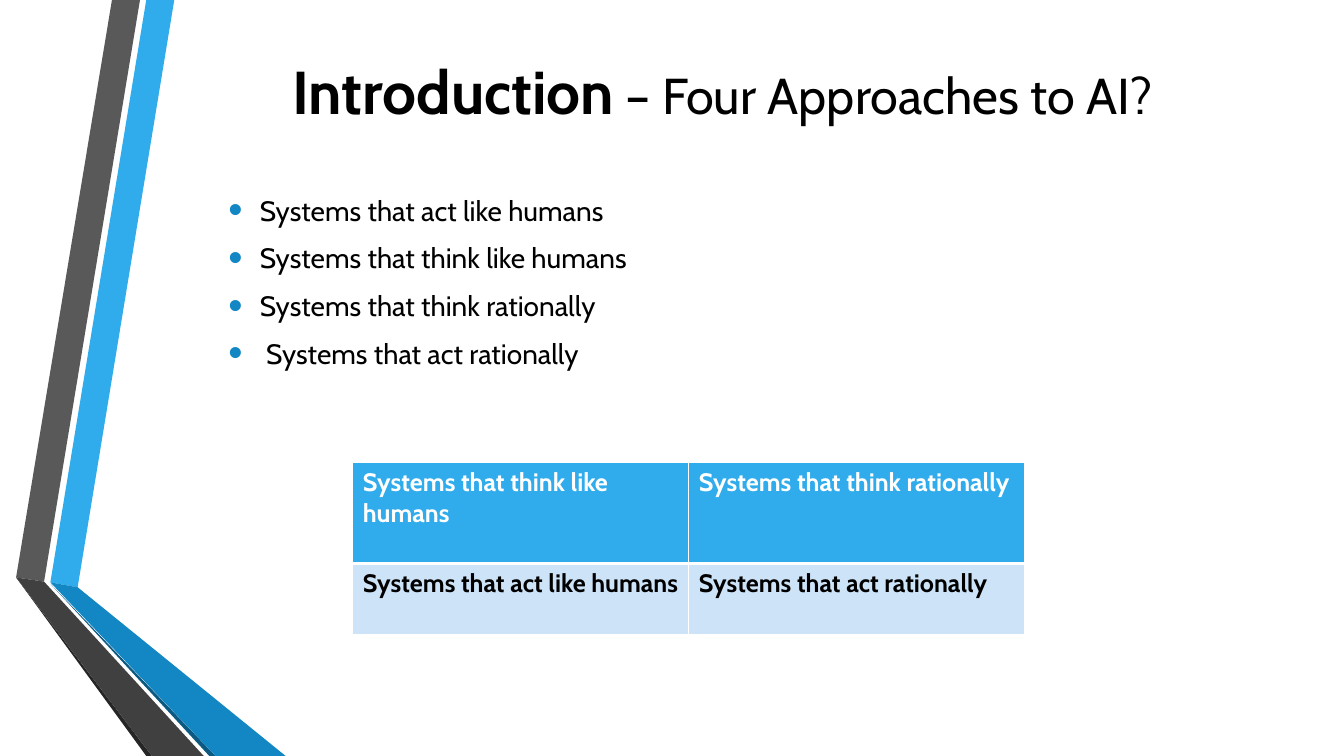
from lxml.etree import SubElement
from pptx import Presentation
from pptx.dml.color import RGBColor
from pptx.enum.text import MSO_ANCHOR, PP_ALIGN
from pptx.oxml import parse_xml
from pptx.oxml.ns import nsdecls, qn
from pptx.util import Pt

FONT = "Cabin"
BLACK, WHITE = "000000", "FFFFFF"
SKY, BLUE, NAVY, PALE = "30ACEC", "1287C3", "0C5A82", "CDE3F8"

APPROACHES = [
    "Systems that act like humans",
    "Systems that think like humans",
    "Systems that think rationally",
    " Systems that act rationally",
]
MATRIX = [
    ["Systems that think like humans", "Systems that think rationally"],
    ["Systems that act like humans", "Systems that act rationally"],
]


def color(hex_code):
    return RGBColor.from_string(hex_code)


def style(font, size, hex_code, bold=False):
    font.name = FONT
    font.size = Pt(size)
    font.bold = bold
    font.color.rgb = color(hex_code)


def add_ribbons(slide, left, top):
    """Folded ribbons; corner points are relative to (left, top)."""
    ribbons = [
        # Upper bands
        (SKY, [(24.5, 416), (44, 419.5), (113, 0), (93, 0)]),
        ("595959", [(88.5, 0), (68.5, 0), (0, 412.5), (20, 415.5)]),
        # Thin shaded edges
        ("262626", [(0, 412.5), (93, 540), (97, 540)]),
        (NAVY, [(24.5, 417), (138, 540), (142.5, 540)]),
        # Lower bands
        (BLUE, [(24.5, 416), (142.5, 540), (192.5, 540), (44, 419.5)]),
        ("404040", [(134, 540), (20, 415.5), (0, 412.5), (97, 540)]),
    ]
    for fill, corners in ribbons:
        points = [(Pt(left + x), Pt(top + y)) for x, y in corners]
        builder = slide.shapes.build_freeform(*points[0], scale=1.0)
        builder.add_line_segments(points[1:], close=True)
        ribbon = builder.convert_to_shape()
        ribbon.shadow.inherit = False
        ribbon.fill.solid()
        ribbon.fill.fore_color.rgb = color(fill)
        ribbon.line.fill.background()


def add_text_frame(slide, left, top, width, height):
    box = slide.shapes.add_textbox(Pt(left), Pt(top), Pt(width), Pt(height))
    frame = box.text_frame
    frame.word_wrap = True
    frame.vertical_anchor = MSO_ANCHOR.MIDDLE
    return frame


def add_title(slide, left, top, width, height):
    heading = add_text_frame(slide, left, top, width, height).paragraphs[0]
    heading.alignment = PP_ALIGN.CENTER
    for words, size, bold in [("Introduction", 43.2, True),
                              (" – Four Approaches to AI?", 36, False)]:
        run = heading.add_run()
        run.text = words
        style(run.font, size, BLACK, bold)


def add_bullet(paragraph):
    properties = paragraph._p.get_or_add_pPr()
    properties.set("marL", str(Pt(22.5)))
    properties.set("indent", str(-Pt(22.5)))
    bullet_color = SubElement(properties, qn("a:buClr"))
    SubElement(bullet_color, qn("a:srgbClr"), val=BLUE)
    SubElement(properties, qn("a:buSzPct"), val="145000")
    SubElement(properties, qn("a:buFont"), typeface="Arial")
    SubElement(properties, qn("a:buChar"), char="•")


def add_approaches(slide, left, top, width, height):
    frame = add_text_frame(slide, left, top, width, height)
    frame.text = "\n".join(APPROACHES)
    for index, approach in enumerate(frame.paragraphs):
        add_bullet(approach)
        approach.space_before = Pt(4 if index else 0)
        approach.space_after = Pt(6)
        style(approach.runs[0].font, 20, BLACK)


def set_borders(cell, top, bottom):
    properties = cell._tc.get_or_add_tcPr()
    sides = [("lnL", 1), ("lnR", 1), ("lnT", top), ("lnB", bottom)]
    for position, (side, width) in enumerate(sides):
        properties.insert(position, parse_xml(
            f'<a:{side} {nsdecls("a")} w="{Pt(width)}"><a:solidFill>'
            f'<a:srgbClr val="{WHITE}"/></a:solidFill></a:{side}>'))


def add_matrix(slide, left, top, width, row_heights):
    matrix = slide.shapes.add_table(
        len(MATRIX), len(MATRIX[0]), Pt(left), Pt(top), Pt(width),
        Pt(sum(row_heights))).table
    looks = [(SKY, WHITE, 1, 3), (PALE, BLACK, 3, 1)]
    for row, (labels, look) in enumerate(zip(MATRIX, looks)):
        fill, ink, top_border, bottom_border = look
        matrix.rows[row].height = Pt(row_heights[row])
        for column, label in enumerate(labels):
            cell = matrix.cell(row, column)
            cell.text = label
            style(cell.text_frame.paragraphs[0].runs[0].font, 18, ink, True)
            cell.fill.solid()
            cell.fill.fore_color.rgb = color(fill)
            set_borders(cell, top_border, bottom_border)


def main():
    deck = Presentation()
    deck.slide_width, deck.slide_height = Pt(960), Pt(540)
    slide = deck.slides.add_slide(deck.slide_layouts[6])
    add_ribbons(slide, 11.5, 0)
    add_title(slide, 180, 33, 672, 63.5)
    add_approaches(slide, 156, 120, 672, 162)
    add_matrix(slide, 252, 330, 480, [72.5, 50.5])
    deck.save("out.pptx")


if __name__ == "__main__":
    main()
